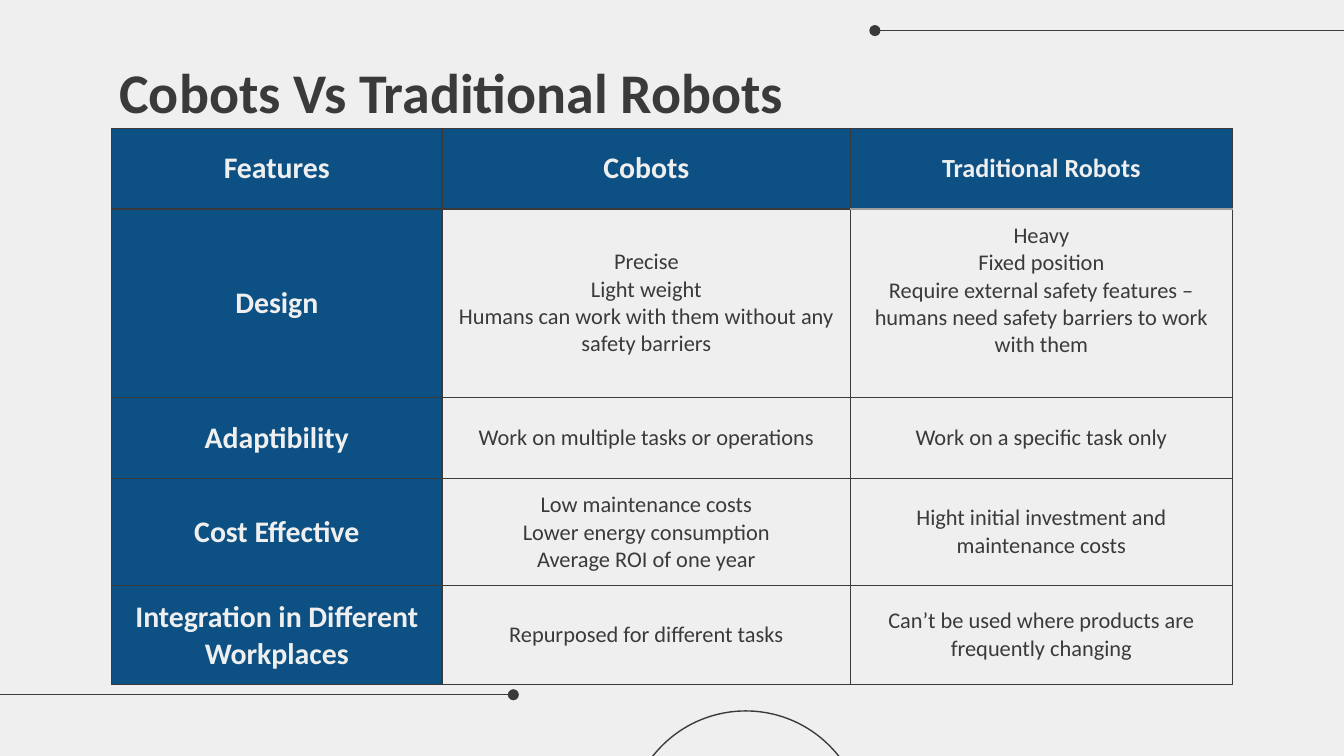
from dataclasses import dataclass
from lxml.etree import SubElement as Sub
from pptx import Presentation
from pptx.dml.color import RGBColor as Rgb
from pptx.enum.shapes import MSO_CONNECTOR as Link, MSO_SHAPE as Form
from pptx.enum.text import MSO_ANCHOR as Anchor, PP_ALIGN as Align
from pptx.oxml.ns import qn
from pptx.util import Pt


@dataclass(frozen=True)
class Theme:
    font: str = "Calibri"
    paper: str = "EFEFEF"
    ink: str = "3B3A3A"
    blue: str = "0C5084"
    gray: str = "9E9E9E"
    title: int = 30
    head: int = 16
    small: int = 14
    body: int = 12
    line: float = 0.75
    pad: float = 7.2


THEME = Theme()
COLS = [177, 219, 204.3]
ROWS = [43.2, 86.4, 43.2, 49.7, 45.4]
CELLS = [
    ["Features", "Cobots", "Traditional Robots"],
    ["Design",
     "Precise\nLight weight\nHumans can work with them without any safety barriers",
     "Heavy\nFixed position\nRequire external safety features – "
     "humans need safety barriers to work with them"],
    ["Adaptibility", "Work on multiple tasks or operations",
     "Work on a specific task only"],
    ["Cost Effective",
     "Low maintenance costs\nLower energy consumption\nAverage ROI of one year",
     "Hight initial investment and maintenance costs"],
    ["Integration in Different Workplaces", "Repurposed for different tasks",
     "Can’t be used where products are frequently changing"],
]


def write(frame, text, size=THEME.body, color=THEME.ink, bold=False,
          align=Align.CENTER):
    frame.word_wrap = True
    frame.text = text
    for para in frame.paragraphs:
        para.alignment = align
        font = para.runs[0].font
        font.name, font.size, font.bold = THEME.font, Pt(size), bold
        font.color.rgb = Rgb.from_string(color)


def inset(box, low=THEME.pad):
    box.margin_left = box.margin_right = box.margin_top = Pt(THEME.pad)
    box.margin_bottom = Pt(low)


def ink(line):
    line.color.rgb = Rgb.from_string(THEME.ink)
    line.width = Pt(THEME.line)


def add_title(slide, text):
    box = slide.shapes.add_textbox(Pt(56.9), Pt(23.8), Pt(607), Pt(45.4))
    inset(box.text_frame)
    box.text_frame.vertical_anchor = Anchor.TOP
    write(box.text_frame, text, size=THEME.title, bold=True, align=Align.LEFT)


def add_ring(slide, left, top, size):
    ring = slide.shapes.add_shape(Form.OVAL, Pt(left), Pt(top), Pt(size), Pt(size))
    ring.shadow.inherit = False
    ring.fill.background()
    ink(ring.line)


def add_rule(slide, dot, end, y):
    rule = slide.shapes.add_connector(Link.STRAIGHT, Pt(dot), Pt(y), Pt(end), Pt(y))
    ink(rule.line)
    Sub(rule.line._get_or_add_ln(), qn("a:headEnd"), type="oval")
    Sub(rule._element.spPr, qn("a:effectLst"))


def edge(cell, **tints):
    props = cell._tc.get_or_add_tcPr()
    for side in "LRTB":
        line = Sub(props, qn(f"a:ln{side}"), w=str(Pt(THEME.line)))
        fill = Sub(line, qn("a:solidFill"))
        Sub(fill, qn("a:srgbClr"), val=tints.get(side, THEME.ink))


def add_grid(slide):
    frame = slide.shapes.add_table(len(ROWS), len(COLS), Pt(59.8), Pt(68.7),
                                   Pt(sum(COLS)), Pt(sum(ROWS)))
    grid = frame.table
    for col, width in zip(grid.columns, COLS):
        col.width = Pt(width)
    for row, height in zip(grid.rows, ROWS):
        row.height = Pt(height)
    last = len(COLS) - 1
    tints = {(0, last): {"B": THEME.gray}, (1, last): {"T": THEME.gray}}
    for r, texts in enumerate(CELLS):
        for c, text in enumerate(texts):
            cell = grid.cell(r, c)
            edge(cell, **tints.get((r, c), {}))
            inset(cell, low=21.8 if (r, c) == (1, last) else THEME.pad)
            cell.vertical_anchor = Anchor.MIDDLE
            if r == 0 or c == 0:
                cell.fill.solid()
                cell.fill.fore_color.rgb = Rgb.from_string(THEME.blue)
                size = THEME.small if c == last else THEME.head
                write(cell.text_frame, text, size=size, color=THEME.paper, bold=True)
            else:
                cell.fill.background()
                write(cell.text_frame, text)


def main():
    deck = Presentation()
    deck.slide_width, deck.slide_height = Pt(720), Pt(405)
    slide = deck.slides.add_slide(deck.slide_layouts[6])
    back = slide.background.fill
    back.solid()
    back.fore_color.rgb = Rgb.from_string(THEME.paper)
    add_ring(slide, 336.2, 380.9, 126.7)
    add_rule(slide, dot=275, end=0, y=372.2)
    add_rule(slide, dot=468.7, end=782, y=16.4)
    add_title(slide, "Cobots Vs Traditional Robots")
    add_grid(slide)
    deck.save("out.pptx")


if __name__ == "__main__":
    main()
